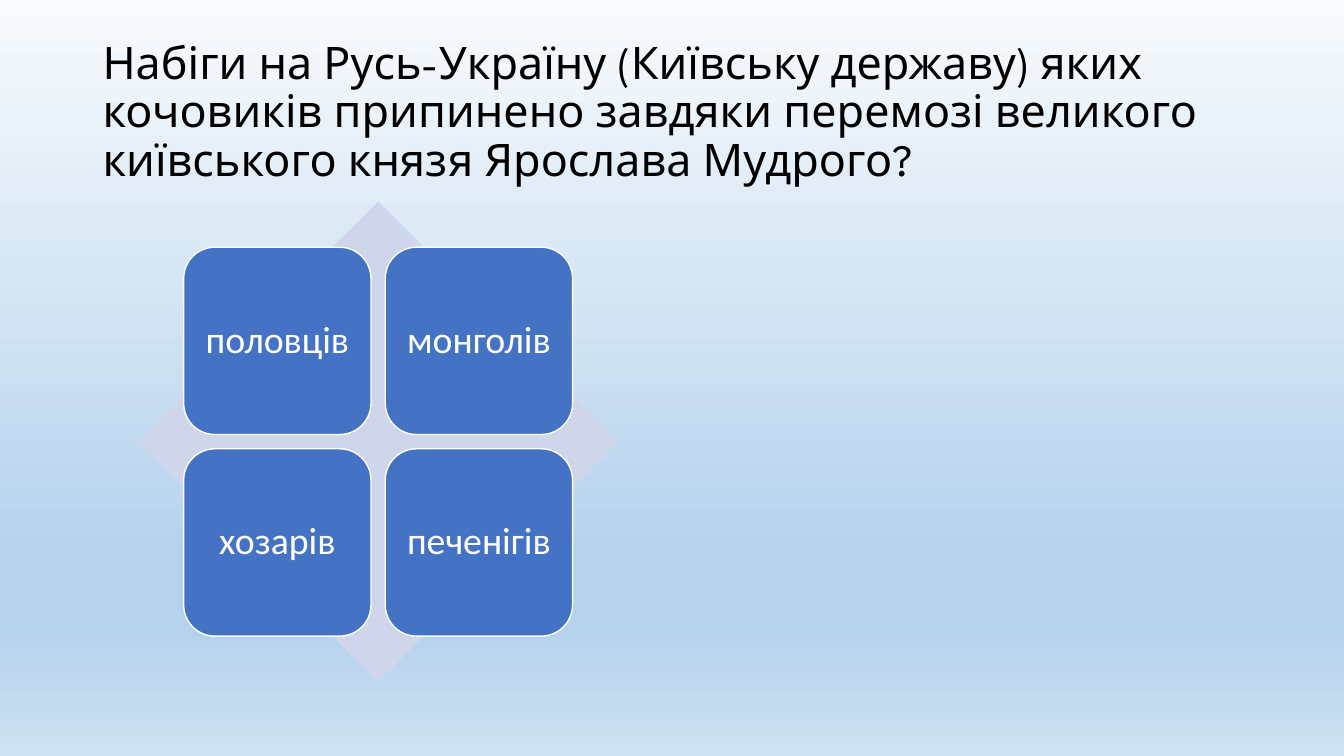
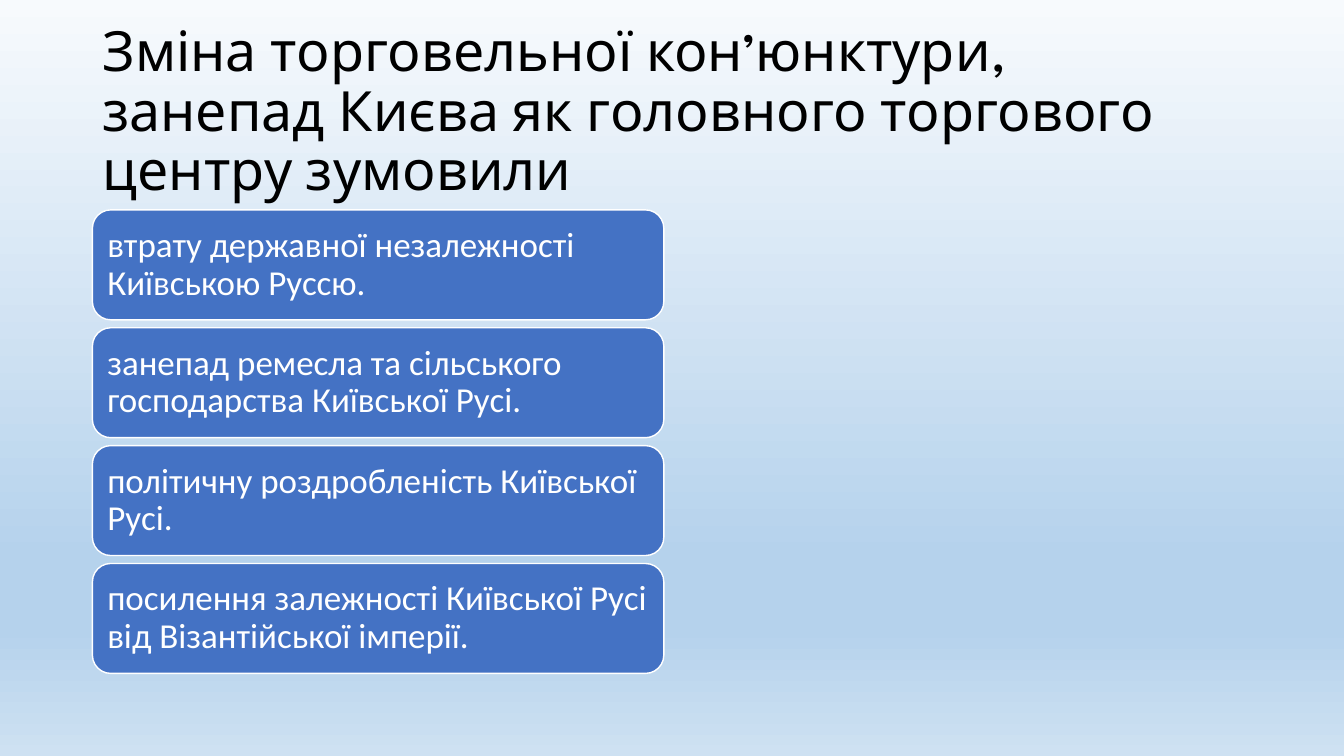
import lxml.etree
import pptx
import pptx.dml.color
import pptx.enum.dml
import pptx.enum.shapes
import pptx.enum.text
import pptx.oxml.ns
import pptx.util

Cm = pptx.util.Cm
Shape = pptx.enum.shapes.MSO_SHAPE
Align = pptx.enum.text.PP_ALIGN
RGBColor = pptx.dml.color.RGBColor

BLACK = RGBColor(0x00, 0x00, 0x00)
WHITE = RGBColor(0xFF, 0xFF, 0xFF)
BLUE = RGBColor(0x44, 0x72, 0xC4)
PALE_BLUE = RGBColor(0xCF, 0xD5, 0xEA)
BACKGROUND_STOPS = (
    (0, RGBColor(0xF7, 0xFA, 0xFD)),
    (74, RGBColor(0xB5, 0xD2, 0xEC)),
    (83, RGBColor(0xB5, 0xD2, 0xEC)),
    (100, RGBColor(0xCE, 0xE1, 0xF2)),
)


def write_text(text_frame, text, *, font, size, color, align=Align.LEFT, inset=None):
    text_frame.word_wrap = True
    text_frame.auto_size = pptx.enum.text.MSO_AUTO_SIZE.NONE
    text_frame.vertical_anchor = pptx.enum.text.MSO_ANCHOR.MIDDLE
    if inset is not None:
        text_frame.margin_left = text_frame.margin_right = inset
        text_frame.margin_top = text_frame.margin_bottom = inset
    text_frame.text = text
    paragraph = text_frame.paragraphs[0]
    paragraph.alignment = align
    paragraph.line_spacing = 0.9
    paragraph.font.name = font
    paragraph.font.size = pptx.util.Pt(size)
    paragraph.font.color.rgb = color


class Deck:
    title_font = "League Spartan"
    body_font = "Calibri"

    def __init__(self):
        self.presentation = pptx.Presentation()
        self.presentation.slide_width = Cm(33.87)
        self.presentation.slide_height = Cm(19.05)
        self.slide = None
        self.set_background()

    def set_background(self):
        qn = pptx.oxml.ns.qn
        master = self.presentation.slide_master
        fill = master.background.fill
        fill.gradient()
        fill.gradient_angle = 270
        stops = master.element.find(".//" + qn("a:gsLst"))
        for stop in list(stops):
            stops.remove(stop)
        for position, color in BACKGROUND_STOPS:
            stop = lxml.etree.SubElement(stops, qn("a:gs"), pos=str(position * 1000))
            lxml.etree.SubElement(stop, qn("a:srgbClr"), val=str(color))

    def add_slide(self, title, size):
        layout = self.presentation.slide_layouts.get_by_name("Title Only")
        self.slide = self.presentation.slides.add_slide(layout)
        shape = self.slide.shapes.title
        shape.left, shape.top = Cm(2.33), Cm(1.01)
        shape.width, shape.height = Cm(29.21), Cm(3.68)
        write_text(shape.text_frame, title, font=self.title_font, size=size, color=BLACK)

    def add_shape(self, kind, left, top, width, height, color):
        shape = self.slide.shapes.add_shape(kind, Cm(left), Cm(top), Cm(width), Cm(height))
        shape.shadow.inherit = False
        shape.fill.solid()
        shape.fill.fore_color.rgb = color
        shape.line.fill.background()
        return shape

    def add_answer(self, text, left, top, width, height, size, align=Align.LEFT):
        shape = self.add_shape(Shape.ROUNDED_RECTANGLE, left, top, width, height, BLUE)
        shape.line.color.rgb = WHITE
        shape.line.width = pptx.util.Pt(1)
        write_text(shape.text_frame, text, font=self.body_font, size=size,
                   color=WHITE, align=align, inset=Cm(0.24))

    def add_matrix(self, answers):
        left, top, diamond = 3.48, 5.08, 12.1
        tile, pitch = 4.72, 5.08
        margin = (diamond - tile - pitch) / 2
        self.add_shape(Shape.DIAMOND, left, top, diamond, diamond, PALE_BLUE)
        for index, answer in enumerate(answers):
            row, column = divmod(index, 2)
            self.add_answer(answer, left + margin + column * pitch,
                            top + margin + row * pitch, tile, tile, 27, Align.CENTER)

    def add_bars(self, answers):
        for index, answer in enumerate(answers):
            self.add_answer(answer, 2.33, 5.29 + index * 2.97, 14.4, 2.77, 25)


def main():
    deck = Deck()

    deck.add_slide("Набіги на Русь-Україну (Київську державу) яких кочовиків припинено "
                   "завдяки перемозі великого київського князя Ярослава Мудрого?", 32)
    deck.add_matrix(("половців", "монголів", "хозарів", "печенігів"))

    deck.add_slide("Зміна торговельної кон’юнктури, занепад Києва як головного "
                   "торгового центру зумовили", 39.6)
    deck.add_bars((
        "втрату державної незалежності Київською Руссю.",
        "занепад ремесла та сільського господарства Київської Русі.",
        "політичну роздробленість Київської Русі.",
        "посилення залежності Київської Русі від Візантійської імперії.",
    ))

    deck.presentation.save("out.pptx")


if __name__ == "__main__":
    main()
